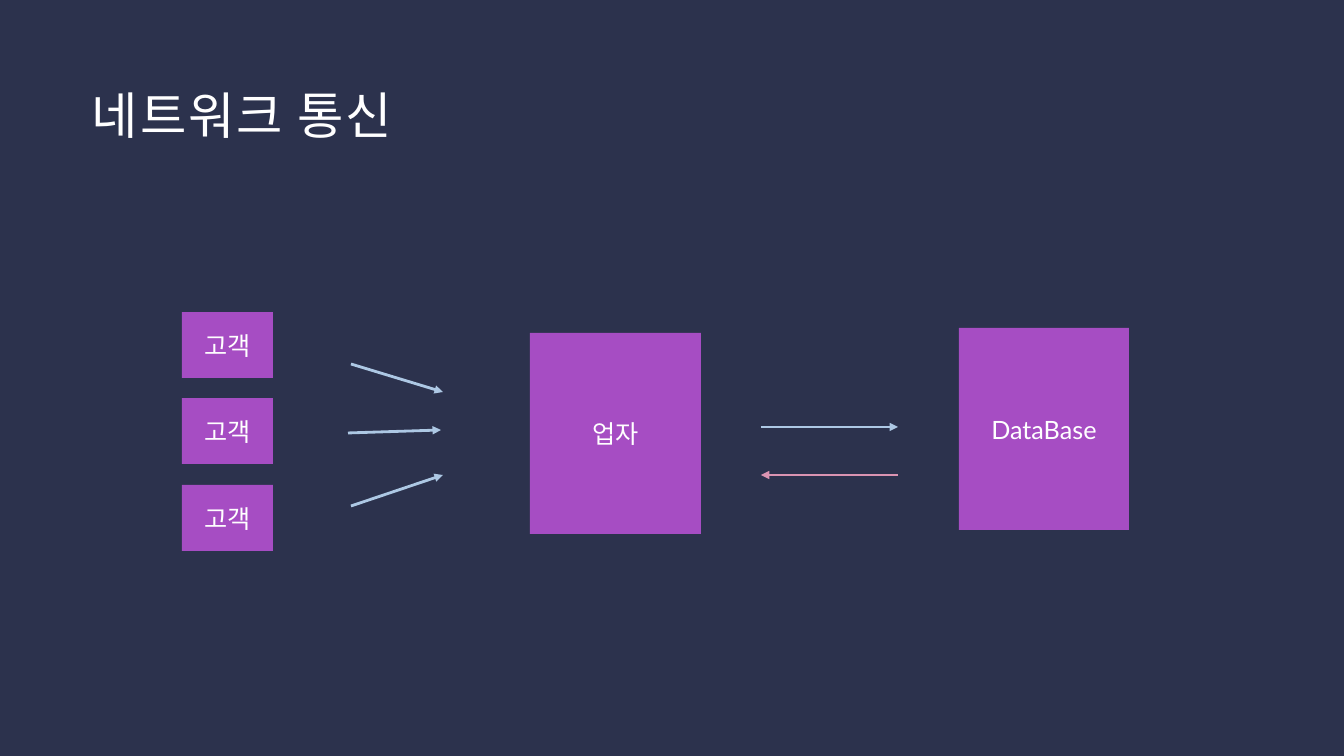
from lxml import etree
from pptx import Presentation
from pptx.dml.color import RGBColor
from pptx.enum.shapes import MSO_CONNECTOR, MSO_SHAPE
from pptx.enum.text import MSO_ANCHOR, MSO_AUTO_SIZE, PP_ALIGN
from pptx.oxml.ns import qn
from pptx.util import Pt

RECTANGLE, STRAIGHT = MSO_SHAPE.RECTANGLE, MSO_CONNECTOR.STRAIGHT
TOP, MIDDLE = MSO_ANCHOR.TOP, MSO_ANCHOR.MIDDLE
LEFT, CENTER = PP_ALIGN.LEFT, PP_ALIGN.CENTER
NO_AUTOFIT = MSO_AUTO_SIZE.NONE

THEME = {
    "font": "Lato",
    "title_size": 36,
    "label_size": 18,
    "line_width": 2,
    "background": "2C324D",
    "box": "A64DC3",
    "text": "FFFFFF",
    "request": "ADC8E4",
    "response": "DB94B2",
}
SLIDE_WIDTH, SLIDE_HEIGHT = 1344, 756
EMU_PER_PX = 12192000 / SLIDE_WIDTH


def emu(*lengths):
    return [round(length * EMU_PER_PX) for length in lengths]


def write_text(shape, text, size, anchor, alignment):
    frame = shape.text_frame
    frame_format = {"word_wrap": True, "auto_size": NO_AUTOFIT, "vertical_anchor": anchor}
    for name, value in frame_format.items():
        setattr(frame, name, value)
    para = frame.paragraphs[0]
    para.alignment = alignment
    span = para.add_run()
    span.text = text
    for name, value in {"name": THEME["font"], "size": Pt(size), "bold": False}.items():
        setattr(span.font, name, value)
    span.font.color.rgb = RGBColor.from_string(THEME["text"])
    return para, span


# Page and background
deck = Presentation()
deck.slide_width, deck.slide_height = emu(SLIDE_WIDTH, SLIDE_HEIGHT)
page = deck.slides.add_slide(deck.slide_layouts[5])
page.background.fill.solid()
page.background.fill.fore_color.rgb = RGBColor.from_string(THEME["background"])

# Title
title = page.shapes.title
for name, value in zip(("left", "top", "width", "height"), emu(80, 69, 1182, 163)):
    setattr(title, name, value)
for side, margin in {"left": 12, "top": 12, "right": 12, "bottom": 10}.items():
    setattr(title.text_frame, f"margin_{side}", emu(margin)[0])
para, span = write_text(title, "네트워크 통신", THEME["title_size"], TOP, LEFT)
para.line_spacing = 1.05
span.font._element.set("spc", "130")

# Customers, vendor and database
boxes = [("고객", 182, 312 + 173 * row // 2, 91, 66) for row in range(3)]
boxes += [("업자", 530, 333, 171, 201), ("DataBase", 959, 328, 170, 202)]
for label, *place in boxes:
    box = page.shapes.add_shape(RECTANGLE, *emu(*place))
    box.shadow.inherit = False
    box.fill.solid()
    box.fill.fore_color.rgb = RGBColor.from_string(THEME["box"])
    box.line.fill.background()
    write_text(box, label, THEME["label_size"], MIDDLE, CENTER)

# Requests and response
arrows = [
    ("request", 351, 364, 443, 392),
    ("request", 348, 433, 441, 430),
    ("request", 351, 506, 443, 475),
    ("request", 761, 427, 898, 427),
    ("response", 898, 475, 761, 475),
]
for role, *ends in arrows:
    arrow = page.shapes.add_connector(STRAIGHT, *emu(*ends))
    arrow.line.color.rgb = RGBColor.from_string(THEME[role])
    arrow.line.width = Pt(THEME["line_width"])
    outline = arrow.line._get_or_add_ln()
    etree.SubElement(outline, qn("a:tailEnd"), type="triangle")
    etree.SubElement(arrow._element.spPr, qn("a:effectLst"))

deck.save("out.pptx")
